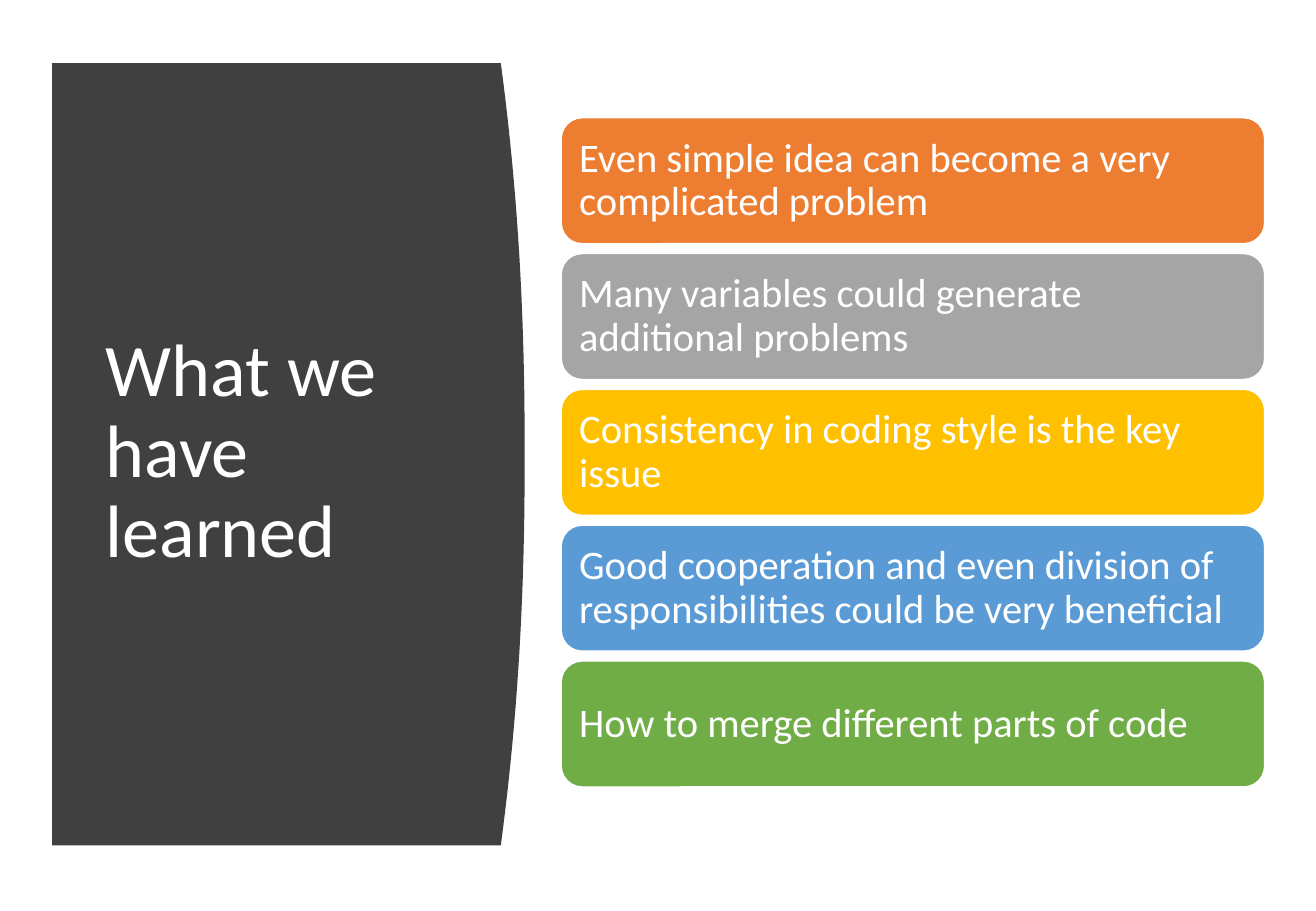
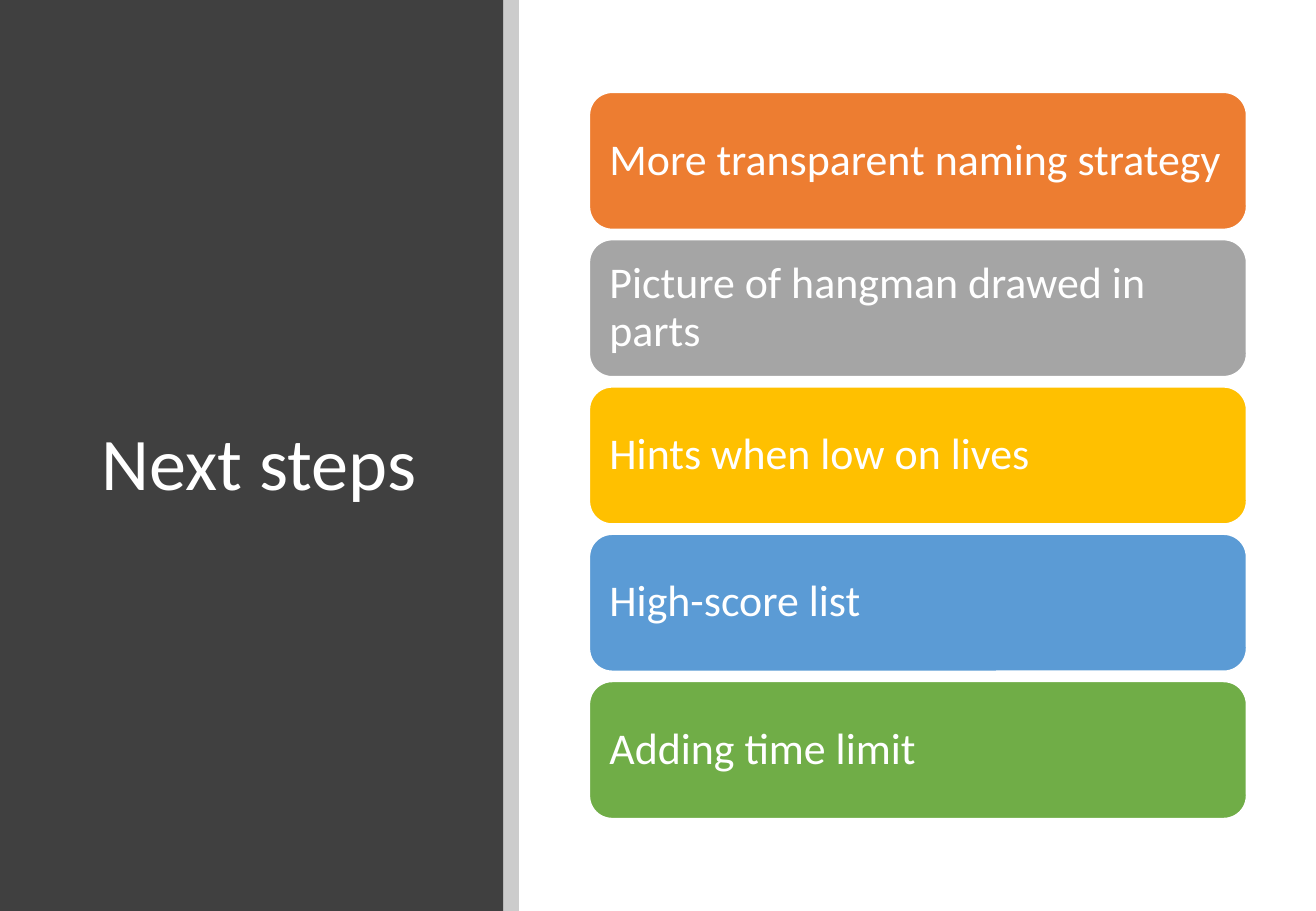
from dataclasses import dataclass

from pptx import Presentation
from pptx.dml.color import RGBColor
from pptx.enum.shapes import MSO_SHAPE as Preset
from pptx.enum.text import MSO_ANCHOR as Anchor, PP_ALIGN as Align
from pptx.oxml.ns import qn
from pptx.util import Cm, Pt
from lxml.etree import SubElement


@dataclass(frozen=True)
class Theme:
    font: str = "Calibri"
    title_size: int = 44
    panel: str = "404040"
    light: str = "FFFFFF"
    divider: str = "000000"
    divider_opacity: int = 20
    cards: tuple = ("ED7D31", "A5A5A5", "FFC000", "5B9BD5", "70AD47")


THEME = Theme()
SLIDE_WIDTH, SLIDE_HEIGHT = 27.51, 19.05

LEARNED = {
    "title": "What we have learned",
    "title_box": (1.96, 2.82, 7.72, 13.31),
    "points": [
        "Even simple idea can become a very complicated problem",
        "Many variables could generate additional problems",
        "Consistency in coding style is the key issue",
        "Good cooperation and even division of responsibilities could be very beneficial",
        "How to merge different parts of code",
    ],
    "first_card": (11.73, 2.46, 14.71, 2.64),
    "gap": 0.2,
    "size": 24,
    "inset": 0.25,
}
NEXT_STEPS = {
    "title": "Next steps",
    "title_box": (1.88, 2.26, 7.52, 15.01),
    "points": [
        "More transparent naming strategy",
        "Picture of hangman drawed in parts",
        "Hints when low on lives",
        "High-score list",
        "Adding time limit",
    ],
    "first_card": (12.32, 1.93, 13.74, 2.87),
    "gap": 0.21,
    "size": 26,
    "inset": 0.28,
}
CURVED_PANEL = {"left": 1.09, "top": 1.32, "bottom": 17.68, "shoulder": 10.47, "bulge": 0.5}
STRAIGHT_PANEL_WIDTH, DIVIDER_WIDTH = 10.52, 0.33


def write(shape, text, size, inset_x=0.25, inset_y=0.13):
    frame = shape.text_frame
    frame.word_wrap = True
    frame.vertical_anchor = Anchor.MIDDLE
    frame.margin_left = frame.margin_right = Cm(inset_x)
    frame.margin_top = frame.margin_bottom = Cm(inset_y)
    paragraph = frame.paragraphs[0]
    paragraph.alignment = Align.LEFT
    paragraph.line_spacing = 0.9
    run = paragraph.add_run()
    run.text = text
    run.font.name = THEME.font
    run.font.size = Pt(size)
    run.font.color.rgb = RGBColor.from_string(THEME.light)


def paint(shape, fill, outline=None):
    shape.shadow.inherit = False
    shape.fill.solid()
    shape.fill.fore_color.rgb = RGBColor.from_string(fill)
    if outline:
        shape.line.color.rgb = RGBColor.from_string(outline)
        shape.line.width = Pt(1)
    else:
        shape.line.fill.background()
    return shape


def add_block(slide, preset, box, fill, outline=None):
    return paint(slide.shapes.add_shape(preset, *map(Cm, box)), fill, outline)


def add_curved_panel(slide, left, top, bottom, shoulder, bulge, steps=40):
    edge = []
    for step in range(steps + 1):
        offset = abs(2 * step / steps - 1)
        x = shoulder + bulge * (1 - offset ** 2.2)
        edge.append((Cm(x), Cm(top + (bottom - top) * step / steps)))
    outline = slide.shapes.build_freeform(Cm(left), Cm(top))
    outline.add_line_segments(edge + [(Cm(left), Cm(bottom))], close=True)
    paint(outline.convert_to_shape(), THEME.panel)


def add_straight_panel(slide):
    add_block(slide, Preset.RECTANGLE, (0, 0, STRAIGHT_PANEL_WIDTH, SLIDE_HEIGHT), THEME.panel)
    divider = add_block(slide, Preset.RECTANGLE,
                        (STRAIGHT_PANEL_WIDTH, 0, DIVIDER_WIDTH, SLIDE_HEIGHT), THEME.divider)
    color = divider.fill._xPr.find(qn("a:solidFill"))[0]
    SubElement(color, qn("a:alpha"), val=str(THEME.divider_opacity * 1000))


def add_content(slide, topic):
    write(slide.shapes.add_textbox(*map(Cm, topic["title_box"])), topic["title"], THEME.title_size)
    left, top, width, height = topic["first_card"]
    for row, (point, color) in enumerate(zip(topic["points"], THEME.cards)):
        box = (left, top + row * (height + topic["gap"]), width, height)
        card = add_block(slide, Preset.ROUNDED_RECTANGLE, box, color, THEME.light)
        write(card, point, topic["size"], topic["inset"], topic["inset"])


deck = Presentation()
deck.slide_width, deck.slide_height = Cm(SLIDE_WIDTH), Cm(SLIDE_HEIGHT)
blank = deck.slide_layouts[6]

learned = deck.slides.add_slide(blank)
add_curved_panel(learned, **CURVED_PANEL)
add_content(learned, LEARNED)

next_steps = deck.slides.add_slide(blank)
add_straight_panel(next_steps)
add_content(next_steps, NEXT_STEPS)

deck.save("out.pptx")
